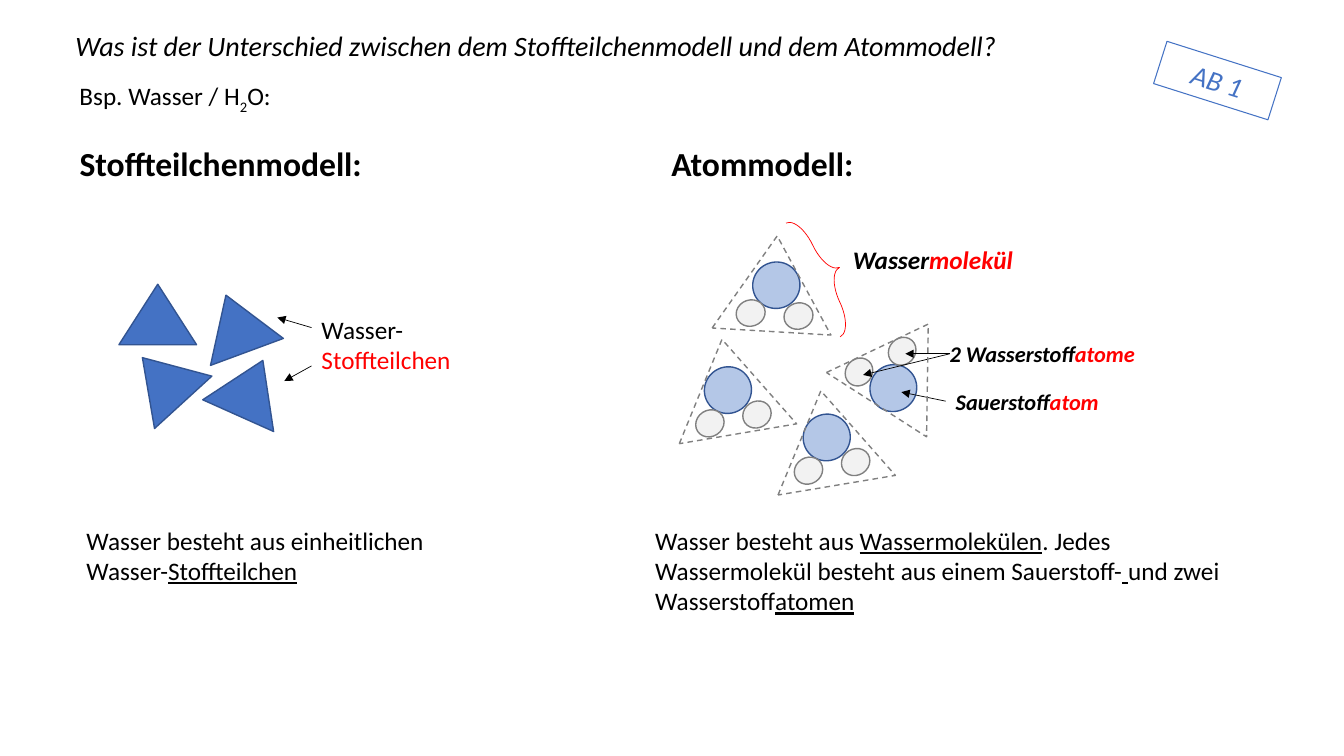
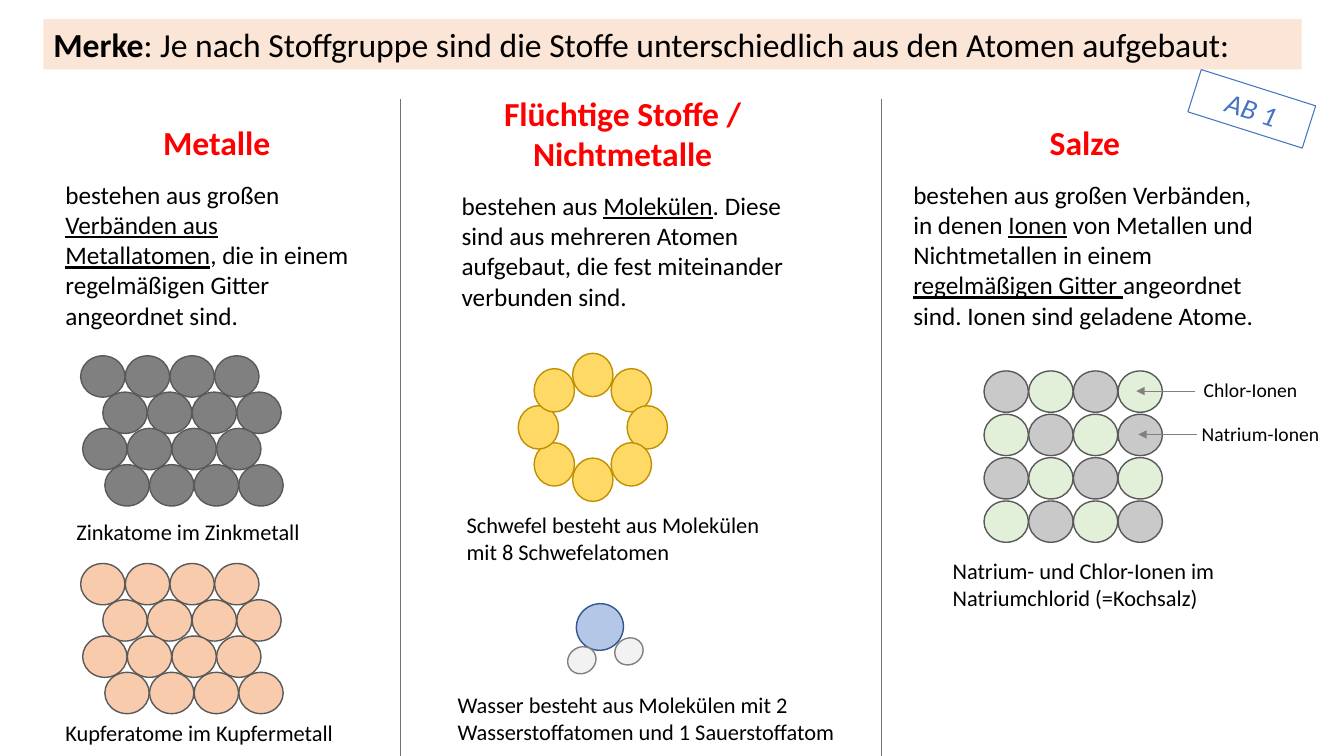
"""Build two worksheet slides on the particle model and the atom model."""
import math

import pptx
import pptx.dml.color
import pptx.enum.dml
import pptx.enum.shapes
import pptx.enum.text
import pptx.oxml
import pptx.oxml.ns
import pptx.util

Inches = pptx.util.Inches
Pt = pptx.util.Pt
Kind = pptx.enum.shapes.MSO_SHAPE
Fit = pptx.enum.text.MSO_AUTO_SIZE
Align = pptx.enum.text.PP_ALIGN


class Theme:
    font = "Calibri"
    head, lead, body, note, label = 24, 20, 18, 16, 14
    black, red, blue = "000000", "FF0000", "4472C4"
    navy, sky = "325491", "B4C7E7"
    grey, pale, edge, rule = "808080", "F2F2F2", "595959", "767171"
    peach, copper = "FBE5D6", "F8CBAD"
    gold, amber = "FFD966", "BF9000"
    silver, mint = "C9C9C9", "E2F0D9"
    thin, fine, line = 0.5, 0.75, 1


MODEL_TEXT = [
    ((0.69, 1.37, 3.41, 0.5), [(Theme.head, "b", ["Stoffteilchenmodell:"])]),
    ((6.56, 1.37, 2.84, 0.5), [(Theme.head, "b", ["Atommodell:"])]),
    ((0.69, 0.75, 2.84, 0.4),
     [(Theme.body, "", ["Bsp. Wasser / H", ("2", "s"), "O:"])]),
    ((3.09, 3.07, 1.61, 0.71),
     [(Theme.body, "", ["Wasser-", ("Stoffteilchen", "r")])]),
    ((0.65, 0.23, 10.79, 0.44),
     [(Theme.lead, "i", ["Was ist der Unterschied zwischen dem "
                         "Stoffteilchenmodell und dem Atommodell?"])]),
    ((8.36, 2.37, 1.92, 0.4),
     [(Theme.body, "bi", ["Wasser", ("molekül", "r")])]),
    ((9.32, 3.33, 2.12, 0.37),
     [(Theme.note, "bi", ["2 Wasserstoff", ("atome", "r")])]),
    ((9.38, 3.8, 1.92, 0.37),
     [(Theme.note, "bi", ["Sauerstoff", ("atom", "r")])]),
    ((6.4, 5.16, 5.82, 1.01),
     [(Theme.body, "", ["Wasser besteht aus ", ("Wassermolekülen", "u"),
                        ". Jedes Wassermolekül besteht aus einem Sauerstoff-",
                        (" ", "u"), "und zwei Wasserstoff", ("atomen", "u")])]),
    ((0.76, 5.16, 4.13, 0.71),
     [(Theme.body, "", ["Wasser besteht aus einheitlichen Wasser-",
                        ("Stoffteilchen", "u")])]),
]
GRAINS = [(1.18, 2.82, 0), (1.96, 2.91, 339.7),
          (1.23, 3.47, 317.6), (2.1, 3.55, 24.1)]
FRAMES = [(8.36, 3.14, 32.7), (7.63, 3.87, 350.5),
          (6.65, 3.36, 350.4), (7.09, 2.34, 3.4)]
WATERS = [(7.22, 3.87, 327.1), (8.2, 4.34, 327.4),
          (8.86, 3.85, 132.1), (7.7, 2.83, 341.3)]
HYDROGENS = [(-0.33, 0.18), (0.11, 0.36)]
MODEL_ARROWS = [
    (3.09, 3.63, 2.82, 3.78), (3.09, 3.25, 2.75, 3.15),
    (9.42, 3.51, 8.98, 3.51), (9.42, 3.51, 8.56, 3.72),
    (9.38, 3.98, 8.94, 3.89),
]

BANNER = [(Theme.head, "", [
    ("Merke", "b"),
    ": Je nach Stoffgruppe sind die Stoffe unterschiedlich "
    "aus den Atomen aufgebaut:"])]
GROUP_TEXT = [
    ((0.55, 1.16, 3.2, 2.19), [
        (Theme.head, "brc", ["Metalle"]),
        (Theme.body, "", ["bestehen aus großen ",
                          ("Verbänden aus Metallatomen", "u"),
                          ", die in einem regelmäßigen Gitter "
                          "angeordnet sind."])]),
    ((4.48, 0.87, 3.39, 2.29), [
        (Theme.head, "brc", ["Flüchtige Stoffe / Nichtmetalle"]),
        (Theme.body, "", ["bestehen aus ", ("Molekülen", "u"),
                          ". Diese sind aus mehreren Atomen aufgebaut, "
                          "die fest miteinander verbunden sind."])]),
    ((8.96, 1.16, 3.6, 2.26), [
        (Theme.head, "brc", ["Salze"]),
        (Theme.body, "", ["bestehen aus großen Verbänden, in denen ",
                          ("Ionen", "u"),
                          " von Metallen und Nichtmetallen in einem ",
                          ("regelmäßigen Gitter ", "u"),
                          "angeordnet sind. Ionen sind geladene Atome."])]),
    ((4.53, 5.02, 3.39, 0.64),
     [(Theme.note, "", ["Schwefel besteht aus Molekülen "
                        "mit 8 Schwefelatomen"])]),
    ((4.44, 6.81, 4.15, 0.64),
     [(Theme.note, "", ["Wasser besteht aus Molekülen mit 2 "
                        "Wasserstoffatomen und 1 Sauerstoffatom"])]),
    ((9.35, 5.48, 3.39, 0.64),
     [(Theme.note, "", ["Natrium- und Chlor-Ionen im Natriumchlorid "
                        "(=Kochsalz)"])]),
]
TAGS = [
    ((0.66, 5.09, 2.44, 0.37), Theme.note, "Zinkatome im Zinkmetall"),
    ((0.55, 7.09, 2.89, 0.37), Theme.note, "Kupferatome im Kupfermetall"),
    ((11.84, 3.7, 1.15, 0.34), Theme.label, "Chlor-Ionen"),
    ((11.82, 4.14, 1.38, 0.34), Theme.label, "Natrium-Ionen"),
]
STAGGER = (0, 0.22, 0.02, 0.24)
LATTICES = [
    (0.8, 3.53, 0.36, STAGGER, (Theme.grey,)),
    (0.8, 5.59, 0.36, STAGGER, (Theme.copper,)),
    (9.76, 3.68, 0.43, (0, 0, 0, 0), (Theme.silver, Theme.mint)),
]
DIVIDERS = (3.97, 8.74)
ION_ARROWS = [(11.85, 3.88, 11.27, 3.88), (11.87, 4.31, 11.29, 4.31)]


def color(code):
    return pptx.dml.color.RGBColor.from_string(code)


def style(font, flags):
    if "b" in flags:
        font.bold = True
    if "i" in flags:
        font.italic = True
    if "u" in flags:
        font.underline = True
    if "r" in flags:
        font.color.rgb = color(Theme.red)


def write(shape, paras, ink=Theme.black, wrap=True):
    frame = shape.text_frame
    frame.word_wrap = wrap
    frame.auto_size = Fit.SHAPE_TO_FIT_TEXT
    for pos, (size, flags, runs) in enumerate(paras):
        para = frame.add_paragraph() if pos else frame.paragraphs[0]
        para.alignment = Align.CENTER if "c" in flags else Align.LEFT
        if pos < len(paras) - 1:
            para.space_after = Pt(12)
        para.font.name = Theme.font
        para.font.size = Pt(size)
        para.font.color.rgb = color(ink)
        style(para.font, flags)
        for item in runs:
            words, marks = (item, "") if isinstance(item, str) else item
            run = para.add_run()
            run.text = words
            style(run.font, marks)
            if "s" in marks:
                run._r.get_or_add_rPr().set("baseline", "-25000")


def text(slide, box, paras, wrap=True):
    write(slide.shapes.add_textbox(*map(Inches, box)), paras, wrap=wrap)


def draw(shapes, kind, box, fill=None, line=None, width=Theme.line, turn=0):
    shape = shapes.add_shape(kind, *map(Inches, box))
    shape.shadow.inherit = False
    shape.rotation = turn
    if fill:
        shape.fill.solid()
        shape.fill.fore_color.rgb = color(fill)
    else:
        shape.fill.background()
    if line:
        shape.line.color.rgb = color(line)
        shape.line.width = Pt(width)
    else:
        shape.line.fill.background()
    return shape


def link(slide, ends, ink, arrow=True):
    line = slide.shapes.add_connector(
        pptx.enum.shapes.MSO_CONNECTOR.STRAIGHT, *map(Inches, ends))
    line.line.color.rgb = color(ink)
    line.line.width = Pt(Theme.thin)
    if arrow:
        pptx.oxml.ns.qn("a:tailEnd")
        tip = pptx.oxml.parse_xml(
            '<a:tailEnd %s type="triangle"/>' % pptx.oxml.ns.nsdecls("a"))
        line.line._get_or_add_ln().append(tip)
    line._element.spPr.append(pptx.oxml.parse_xml(
        "<a:effectLst %s/>" % pptx.oxml.ns.nsdecls("a")))


def atom(shapes, x, y, w, h, fill, line, turn=0):
    draw(shapes, Kind.OVAL, (x - w / 2, y - h / 2, w, h), fill, line, turn=turn)


def water(slide, x, y, turn):
    shapes = slide.shapes.add_group_shape().shapes
    atom(shapes, x, y, 0.47, 0.46, Theme.sky, Theme.navy, turn)
    cos, sin = math.cos(math.radians(turn)), math.sin(math.radians(turn))
    for dx, dy in HYDROGENS:
        atom(shapes, x + dx * cos - dy * sin, y + dx * sin + dy * cos,
             0.29, 0.26, Theme.pale, Theme.grey, turn)


def lattice(slide, left, top, pitch, shifts, fills):
    shapes = slide.shapes.add_group_shape().shapes
    for row, shift in enumerate(shifts):
        for col in range(4):
            box = (left + shift + col * 0.443, top + row * pitch, 0.44, 0.41)
            draw(shapes, Kind.OVAL, box, fills[(row + col) % len(fills)],
                 Theme.edge)


def ring(slide, x, y, count=8):
    shapes = slide.shapes.add_group_shape().shapes
    for step in range(count):
        turn = math.tau * step / count
        atom(shapes, x + 0.54 * math.sin(turn), y - 0.52 * math.cos(turn),
             0.4, 0.43, Theme.gold, Theme.amber)


def badge(slide, x, y):
    shape = draw(slide.shapes, Kind.RECTANGLE, (x, y, 1.19, 0.44),
                 line=Theme.blue, width=Theme.fine, turn=17.6)
    write(shape, [(Theme.lead, "ic", ["AB 1"])], Theme.blue)


def models(slide):
    for box, paras in MODEL_TEXT:
        text(slide, box, paras)
    for x, y, turn in GRAINS:
        draw(slide.shapes, Kind.ISOSCELES_TRIANGLE, (x, y, 0.77, 0.6),
             Theme.blue, Theme.navy, turn=turn)
    for place in WATERS:
        water(slide, *place)
    for ends in MODEL_ARROWS:
        link(slide, ends, Theme.black)
    for x, y, turn in FRAMES:
        frame = draw(slide.shapes, Kind.ISOSCELES_TRIANGLE,
                     (x, y, 1.18, 0.95), line=Theme.grey, turn=turn)
        frame.line.dash_style = pptx.enum.dml.MSO_LINE.DASH
    brace = draw(slide.shapes, Kind.LEFT_BRACE, (8.05, 2.09, 0.29, 1.25),
                 line=Theme.red, width=Theme.thin, turn=154.6)
    brace.adjustments[0] = 1.08
    badge(slide, 11.48, 0.58)


def groups(slide):
    bar = draw(slide.shapes, Kind.RECTANGLE, (0.43, 0.19, 12.48, 0.5),
               Theme.peach)
    write(bar, BANNER)
    for box, paras in GROUP_TEXT:
        text(slide, box, paras)
    for place in LATTICES:
        lattice(slide, *place)
    ring(slide, 5.88, 4.24)
    water(slide, 5.95, 6.22, 327.1)
    for x in DIVIDERS:
        link(slide, (x, 0.98, x, 7.5), Theme.rule, arrow=False)
    badge(slide, 11.82, 0.86)
    for ends in ION_ARROWS:
        link(slide, ends, Theme.grey)
    for box, size, words in TAGS:
        text(slide, box, [(size, "", [words])], wrap=False)


def main():
    deck = pptx.Presentation()
    deck.slide_width, deck.slide_height = Inches(13.33), Inches(7.5)
    for build in (models, groups):
        build(deck.slides.add_slide(deck.slide_layouts[6]))
    deck.save("out.pptx")


if __name__ == "__main__":
    main()
